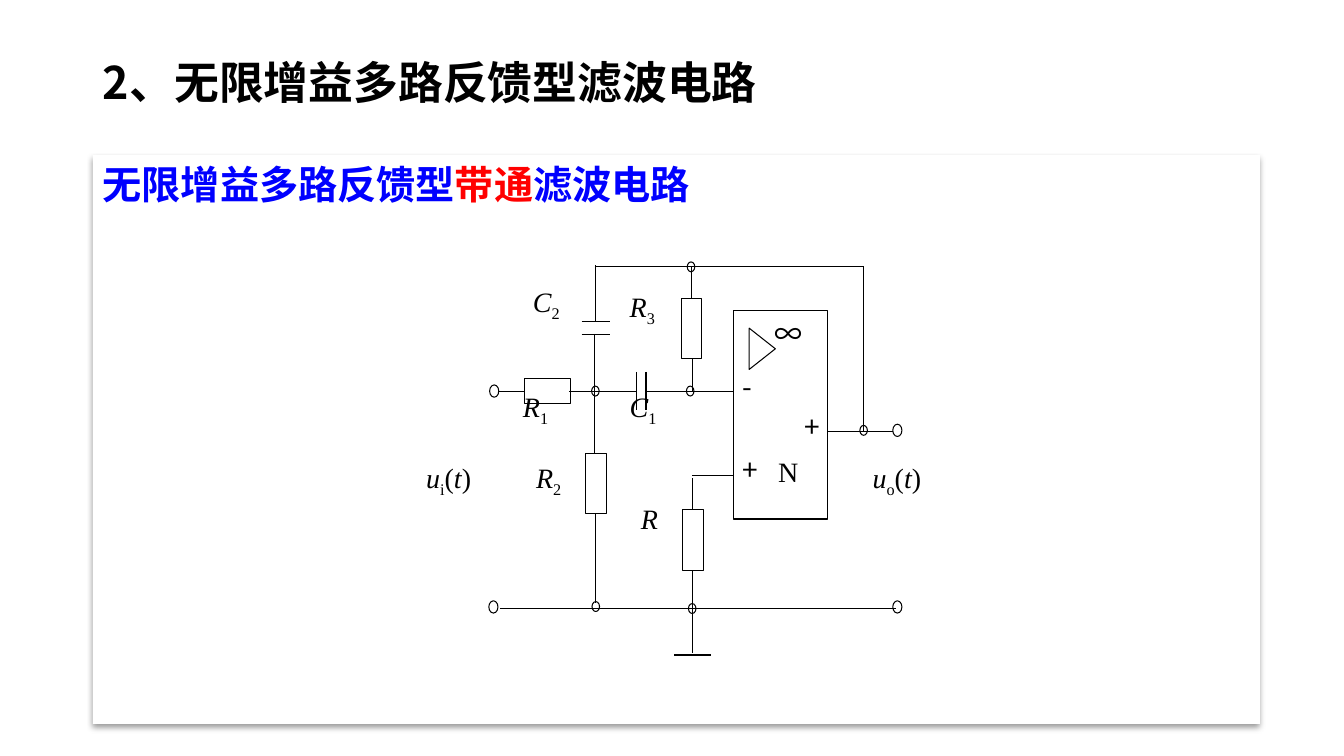
import pptx
import pptx.util
import pptx.dml.color
import pptx.enum.shapes
import pptx.enum.text
import pptx.oxml
import pptx.oxml.ns

Cm = pptx.util.Cm
Pt = pptx.util.Pt
SHAPES = pptx.enum.shapes.MSO_SHAPE
ALIGN = pptx.enum.text.PP_ALIGN
ANCHOR = pptx.enum.text.MSO_ANCHOR

COLORS = {"ink": "000000", "paper": "FFFFFF", "blue": "0000FF", "red": "FF0000"}
SANS = "Noto Sans CJK SC"
SERIF = "Times New Roman"
NAMESPACE = pptx.oxml.ns.nsdecls("a")
PANEL_SHADOW = (
    f'<a:effectLst {NAMESPACE}><a:outerShdw blurRad="50800" dist="38100" dir="5400000" '
    f'algn="t" rotWithShape="0"><a:srgbClr val="{COLORS["ink"]}"><a:alpha val="40000"/>'
    '</a:srgbClr></a:outerShdw></a:effectLst>'
)


class CircuitSlide:
    def __init__(self, presentation):
        self.slide = presentation.slides.add_slide(presentation.slide_layouts[5])

    def color(self, name):
        return pptx.dml.color.RGBColor.from_string(COLORS[name])

    def add_run(self, paragraph, text, size, font=SANS, color="ink", bold=False,
                italic=False, subscript=False):
        run = paragraph.add_run()
        run.text = text
        run.font.size = Pt(size)
        run.font.bold = bold
        run.font.italic = italic
        run.font.color.rgb = self.color(color)
        run.font.name = font
        properties = run._r.get_or_add_rPr()
        properties.append(pptx.oxml.parse_xml(f'<a:ea {NAMESPACE} typeface="{font}"/>'))
        if subscript:
            properties.set("baseline", "-25000")

    def title(self, text, left, top, width, height):
        shape = self.slide.shapes.title
        shape.left, shape.top = Cm(left), Cm(top)
        shape.width, shape.height = Cm(width), Cm(height)
        frame = shape.text_frame
        frame.auto_size = pptx.enum.text.MSO_AUTO_SIZE.NONE
        frame.vertical_anchor = ANCHOR.MIDDLE
        paragraph = frame.paragraphs[0]
        paragraph.alignment = ALIGN.LEFT
        paragraph.line_spacing = 0.9
        self.add_run(paragraph, text, 32, bold=True)

    def text_box(self, left, top, width, height, inset=True, alignment=ALIGN.JUSTIFY):
        frame = self.slide.shapes.add_textbox(
            Cm(left), Cm(top), Cm(width), Cm(height)).text_frame
        frame.word_wrap = True
        if not inset:
            frame.margin_left = frame.margin_right = 0
            frame.margin_top = frame.margin_bottom = 0
        frame.paragraphs[0].alignment = alignment
        return frame.paragraphs[0]

    def symbol(self, text, left, top, width, height, font=SANS):
        paragraph = self.text_box(left, top, width, height, inset=False)
        self.add_run(paragraph, text, 20, font)

    def label(self, name, subscript, argument, left, top, width, height):
        paragraph = self.text_box(left, top, width, height)
        self.add_run(paragraph, name, 20, SERIF, italic=True)
        if subscript:
            self.add_run(paragraph, subscript, 20, SERIF, subscript=True)
        if argument:
            self.add_run(paragraph, "(", 20, SERIF)
            self.add_run(paragraph, argument, 20, SERIF, italic=True)
            self.add_run(paragraph, ")", 20, SERIF)

    def panel(self, left, top, width, height):
        shape = self.slide.shapes.add_shape(
            SHAPES.RECTANGLE, Cm(left), Cm(top), Cm(width), Cm(height))
        shape.fill.solid()
        shape.fill.fore_color.rgb = self.color("paper")
        shape.line.fill.background()
        shape._element.spPr.append(pptx.oxml.parse_xml(PANEL_SHADOW))
        # The panel lies behind the title
        self.slide.shapes.title._element.addprevious(shape._element)

    def outline(self, kind, left, top, width, height, rotation=0):
        shape = self.slide.shapes.add_shape(kind, Cm(left), Cm(top), Cm(width), Cm(height))
        shape.shadow.inherit = False
        shape.fill.background()
        shape.line.color.rgb = self.color("ink")
        shape.line.width = Pt(0.75)
        shape.rotation = rotation

    def wire(self, start_x, start_y, end_x, end_y, weight=0.75):
        connector = self.slide.shapes.add_connector(
            pptx.enum.shapes.MSO_CONNECTOR.STRAIGHT,
            Cm(start_x), Cm(start_y), Cm(end_x), Cm(end_y))
        connector.line.color.rgb = self.color("ink")
        connector.line.width = Pt(weight)
        connector._element.spPr.append(pptx.oxml.parse_xml(f"<a:effectLst {NAMESPACE}/>"))


def main():
    presentation = pptx.Presentation()
    presentation.slide_width = Cm(33.87)
    presentation.slide_height = Cm(19.05)
    circuit = CircuitSlide(presentation)

    # Panel and headings
    circuit.panel(2.34, 3.91, 29.41, 14.33)
    circuit.title("2、无限增益多路反馈型滤波电路", 2.34, 1.32, 29.21, 1.65)
    heading = circuit.text_box(2.34, 3.33, 29.21, 13.82, alignment=ALIGN.LEFT)
    heading.line_spacing = 1.5
    for text, color in (("无限增益多路反馈型", "blue"), ("带通", "red"), ("滤波电路", "blue")):
        circuit.add_run(heading, text, 28, color=color, bold=True)

    # Operational amplifier
    circuit.outline(SHAPES.RECTANGLE, 18.49, 7.82, 2.36, 5.26)
    circuit.outline(SHAPES.ISOSCELES_TRIANGLE, 18.69, 8.46, 1.04, 0.66, rotation=90)
    circuit.symbol("∞", 19.53, 7.98, 0.71, 0.94)
    circuit.symbol("-", 18.72, 9.3, 0.66, 1.3)
    circuit.symbol("+", 18.72, 11.4, 0.56, 1.12)
    circuit.symbol("+", 20.27, 10.31, 0.61, 1.04)
    circuit.symbol("N", 19.61, 11.46, 0.66, 1.27, SERIF)

    # Resistors R3, R2, R and R1
    for left, top in ((17.17, 7.52), (14.76, 11.43), (17.2, 12.85)):
        circuit.outline(SHAPES.RECTANGLE, left, top, 0.52, 1.52)
    circuit.outline(SHAPES.RECTANGLE, 13.21, 9.55, 1.17, 0.61)

    # Capacitor plates of C2 and C1
    for y in (8.1, 8.43):
        circuit.wire(14.66, y, 15.37, y)
    for x in (16.03, 16.28):
        circuit.wire(x, 9.37, x, 10.34)

    # Horizontal wires: y, from x, to x
    for y, start, end in (
        (6.71, 14.99, 21.74), (9.86, 12.57, 13.21), (9.86, 14.35, 16.03),
        (9.86, 16.26, 18.49), (10.87, 20.85, 22.5), (11.99, 17.45, 18.47),
        (15.34, 12.6, 22.58),
    ):
        circuit.wire(start, y, end, y)

    # Vertical wires: x, from y, to y
    for x, start, end in (
        (15.01, 6.68, 8.1), (14.99, 8.41, 11.43), (15.01, 12.95, 15.19),
        (17.42, 6.71, 7.52), (17.45, 9.04, 9.88), (17.45, 12.04, 12.85),
        (17.45, 14.38, 16.46), (21.77, 6.71, 10.87),
    ):
        circuit.wire(x, start, x, end)

    # Ground bar
    circuit.wire(16.99, 16.51, 17.93, 16.51, weight=1.5)

    # Junctions and terminals
    for left, top in ((17.3, 9.73), (14.91, 9.73), (17.32, 6.6),
                      (21.67, 10.72), (14.92, 15.16), (17.35, 15.21)):
        circuit.outline(SHAPES.OVAL, left, top, 0.19, 0.25)
    for left, top in ((12.34, 9.7), (22.5, 10.69), (12.32, 15.14), (22.5, 15.14)):
        circuit.outline(SHAPES.OVAL, left, top, 0.23, 0.31)

    # Component and signal labels
    for label in (
        ("R", "3", "", 15.62, 7.16, 2.11, 1.8),
        ("R", "1", "", 12.93, 9.7, 2.18, 2.13),
        ("C", "2", "", 13.18, 7.04, 2.36, 2.24),
        ("C", "1", "", 15.62, 9.7, 2.03, 1.78),
        ("R", "2", "", 13.26, 11.48, 2.31, 1.85),
        ("R", "", "", 15.9, 12.52, 1.6, 1.83),
        ("u", "i", "t", 10.49, 11.48, 2.95, 2.18),
        ("u", "o", "t", 21.74, 11.48, 2.87, 2.64),
    ):
        circuit.label(*label)

    presentation.save("out.pptx")


if __name__ == "__main__":
    main()
